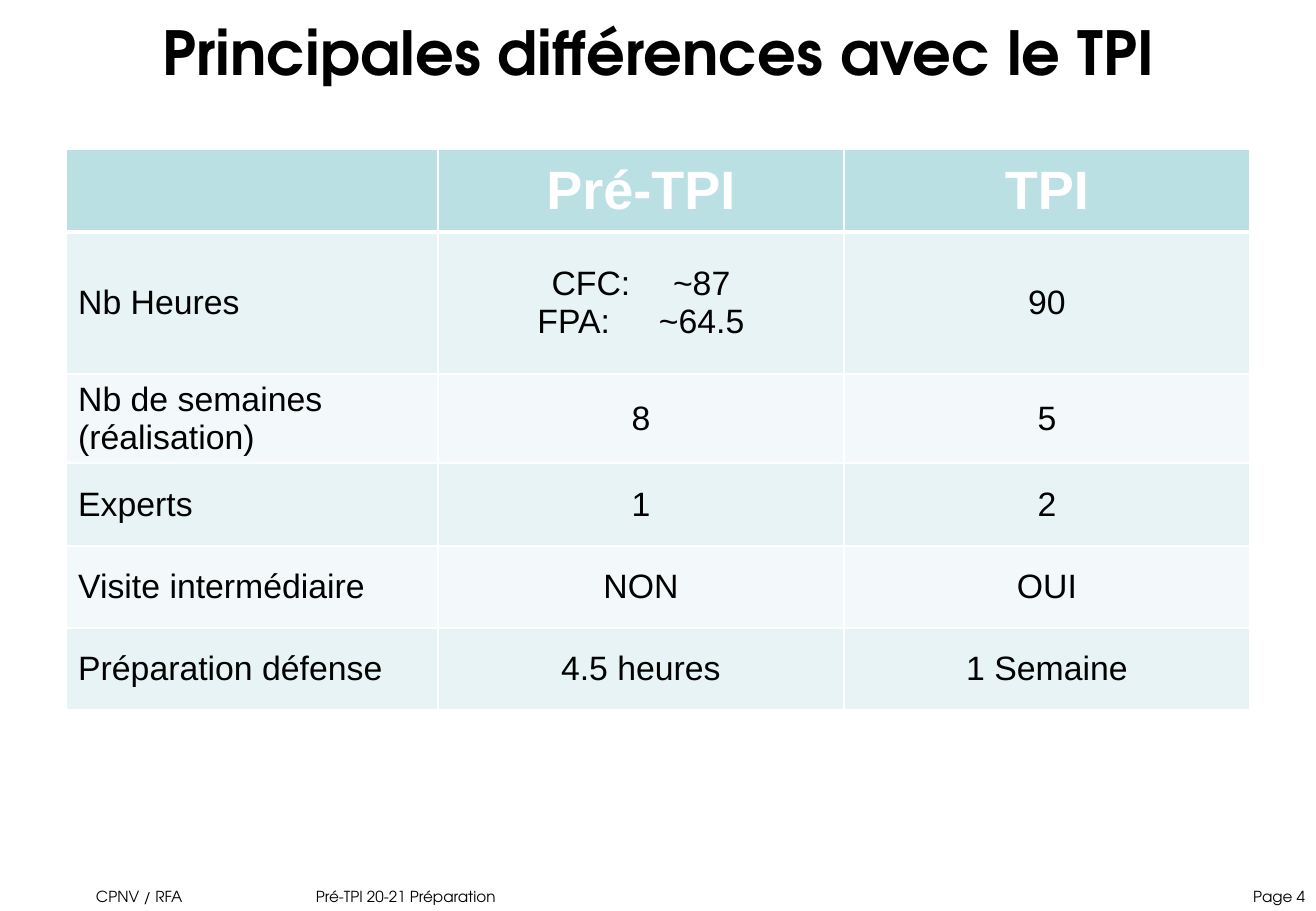
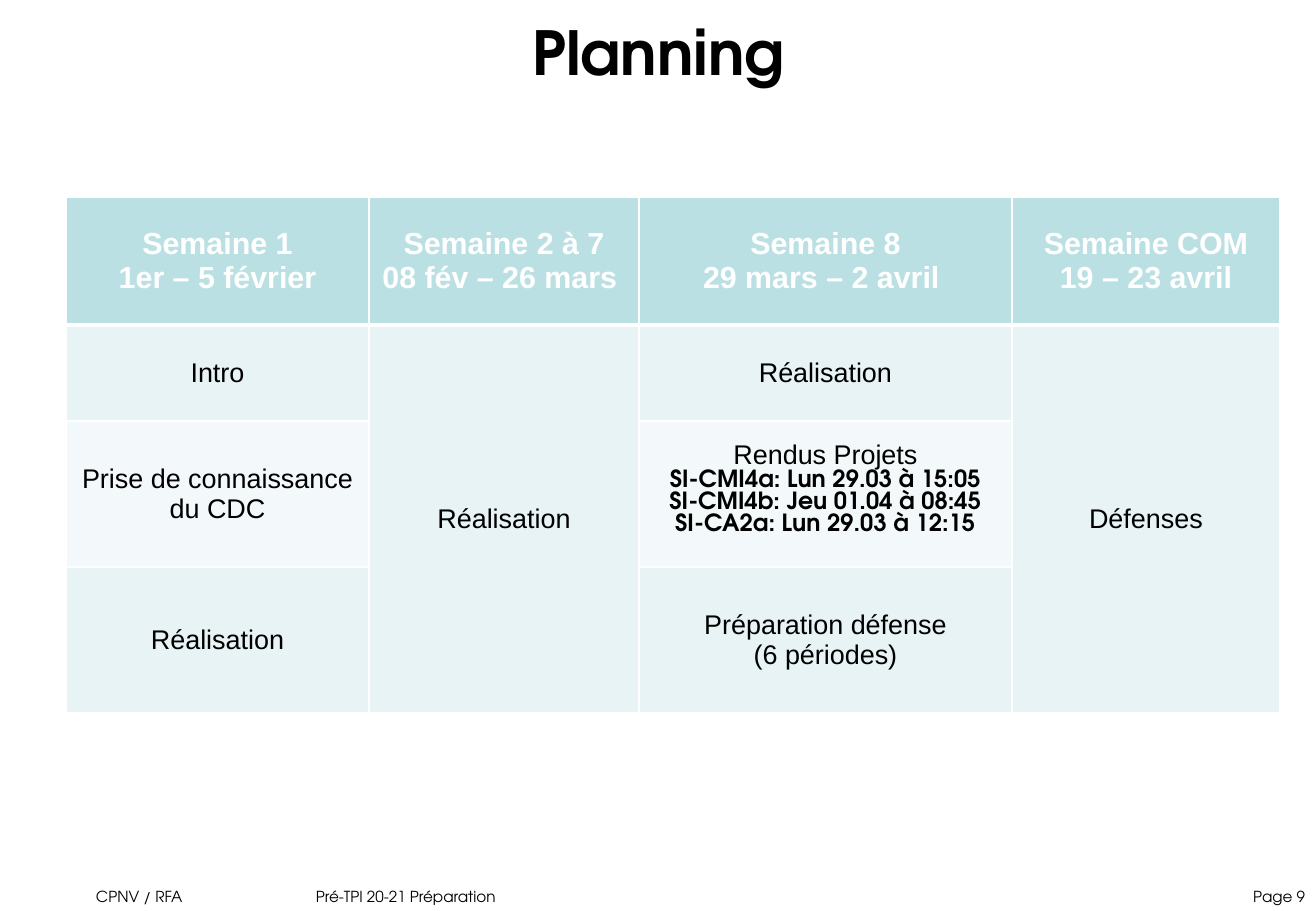
"""Build two slides that compare the Pré-TPI with the TPI and show its planning."""
from lxml import etree
from pptx import Presentation
from pptx.dml.color import RGBColor
from pptx.enum.text import MSO_ANCHOR, PP_ALIGN
from pptx.oxml.ns import qn
from pptx.util import Pt

PX = 914400 / 121.5
LEFT, CENTER, RIGHT = PP_ALIGN.LEFT, PP_ALIGN.CENTER, PP_ALIGN.RIGHT
TOP, MIDDLE = MSO_ANCHOR.TOP, MSO_ANCHOR.MIDDLE
BLACK, WHITE, HEADER_FILL = "000000", "FFFFFF", "BBE0E3"
BAND_FILLS = ["E7F3F4", "F3F9FA"]
TITLE_FONT, TABLE_FONT = "TeX Gyre Adventor", "Arial"
SLIDE_WIDTH, SLIDE_HEIGHT = 1316, 911

DEADLINES = [
    "SI-CMI4a: Lun 29.03 à 15:05",
    "SI-CMI4b: Jeu 01.04 à 08:45",
    "SI-CA2a: Lun 29.03 à 12:15",
]

PAGES = [
    {
        "title": "Principales différences avec le TPI", "page": 4, "top": 149,
        "columns": [372, 406, 406], "heights": [83, 142, 87, 83, 82, 82],
        "header_size": 32, "body_size": 20, "first_column": LEFT,
        "rows": [
            [[], ["Pré-TPI"], ["TPI"]],
            [["Nb Heures"], ["CFC:\t~87", "FPA:\t~64.5"], ["90"]],
            [["Nb de semaines", "(réalisation)"], ["8"], ["5"]],
            [["Experts"], ["1"], ["2"]],
            [["Visite intermédiaire"], ["NON"], ["OUI"]],
            [["Préparation défense"], ["4.5 heures"], ["1 Semaine"]],
        ],
    },
    {
        "title": "Planning", "page": 9, "top": 197,
        "columns": [303, 270, 373, 268], "heights": [128, 96, 146, 146],
        "header_size": 18, "body_size": 16, "first_column": CENTER,
        "rows": [
            [["Semaine 1", "1er – 5 février"], ["Semaine 2 à 7", "08 fév – 26 mars "],
             ["Semaine 8", "29 mars – 2 avril "], ["Semaine COM", "19 – 23 avril"]],
            [["Intro"], ["Réalisation"], ["Réalisation"], ["Défenses"]],
            [["Prise de connaissance du CDC"], None, ["Rendus Projets", *DEADLINES], None],
            [["Réalisation"], None, ["Préparation défense", "(6 périodes)"], None],
        ],
    },
]


def px(length):
    return round(length * PX)


def color(value):
    return RGBColor.from_string(value)


prs = Presentation()
prs.slide_width, prs.slide_height = px(SLIDE_WIDTH), px(SLIDE_HEIGHT)

for page in PAGES:
    slide = prs.slides.add_slide(prs.slide_layouts[6])

    labels = [
        (page["title"], 0, 0, SLIDE_WIDTH, 102, 36, True, CENTER, MIDDLE),
        ("CPNV / RFA", 84, 881, 208, 30, 9, False, LEFT, TOP),
        ("Pré-TPI 20-21 Préparation", 304, 881, 708, 30, 9, False, LEFT, TOP),
        (f"Page {page['page']}", 1101, 881, 215, 30, 9, False, RIGHT, TOP),
    ]
    for text, left, top, width, height, size, bold, align, anchor in labels:
        frame = slide.shapes.add_textbox(px(left), px(top), px(width), px(height)).text_frame
        frame.word_wrap = True
        frame.vertical_anchor = anchor
        frame.margin_right = px(11)
        paragraph = frame.paragraphs[0]
        paragraph.alignment = align
        run = paragraph.add_run()
        run.text = text
        run.font.name, run.font.size, run.font.bold = TITLE_FONT, Pt(size), bold
        run.font.color.rgb = color(BLACK)

    rows, columns, heights = page["rows"], page["columns"], page["heights"]
    table = slide.shapes.add_table(
        len(rows), len(columns), px(66), px(page["top"]), px(sum(columns)), px(sum(heights))
    ).table
    for column, width in zip(table.columns, columns):
        column.width = px(width)
    for row, height in zip(table.rows, heights):
        row.height = px(height)

    for r, row in enumerate(rows):
        is_header = r == 0
        for c, lines in enumerate(row):
            cell = table.cell(r, c)
            cell.vertical_anchor = MIDDLE
            cell.margin_top = px(4)
            cell.margin_bottom = px(16 if lines and lines[-1] in DEADLINES else 4)
            cell.fill.solid()
            cell.fill.fore_color.rgb = color(HEADER_FILL if is_header else BAND_FILLS[(r - 1) % 2])
            borders = {"L": 1, "R": 1, "T": 3 if r == 1 else 1, "B": 3 if is_header else 1}
            properties = cell._tc.get_or_add_tcPr()
            for position, (side, weight) in enumerate(borders.items()):
                border = etree.Element(qn(f"a:ln{side}"), w=str(Pt(weight)))
                border_fill = etree.SubElement(border, qn("a:solidFill"))
                etree.SubElement(border_fill, qn("a:srgbClr"), val=WHITE)
                properties.insert(position, border)

            for i, line in enumerate(lines or []):
                is_deadline = line in DEADLINES
                frame = cell.text_frame
                paragraph = frame.add_paragraph() if i else frame.paragraphs[0]
                paragraph.alignment = page["first_column"] if c == 0 and not is_header else CENTER
                run = paragraph.add_run()
                run.text = line
                font = run.font
                font.name = TITLE_FONT if is_deadline else TABLE_FONT
                font.size = Pt(14 if is_deadline else page["header_size" if is_header else "body_size"])
                font.bold = is_header or is_deadline
                font.color.rgb = color(WHITE if is_header else BLACK)

    for c, lines in enumerate(rows[-1]):
        if lines is None:
            table.cell(1, c).merge(table.cell(len(rows) - 1, c))

prs.save("out.pptx")
